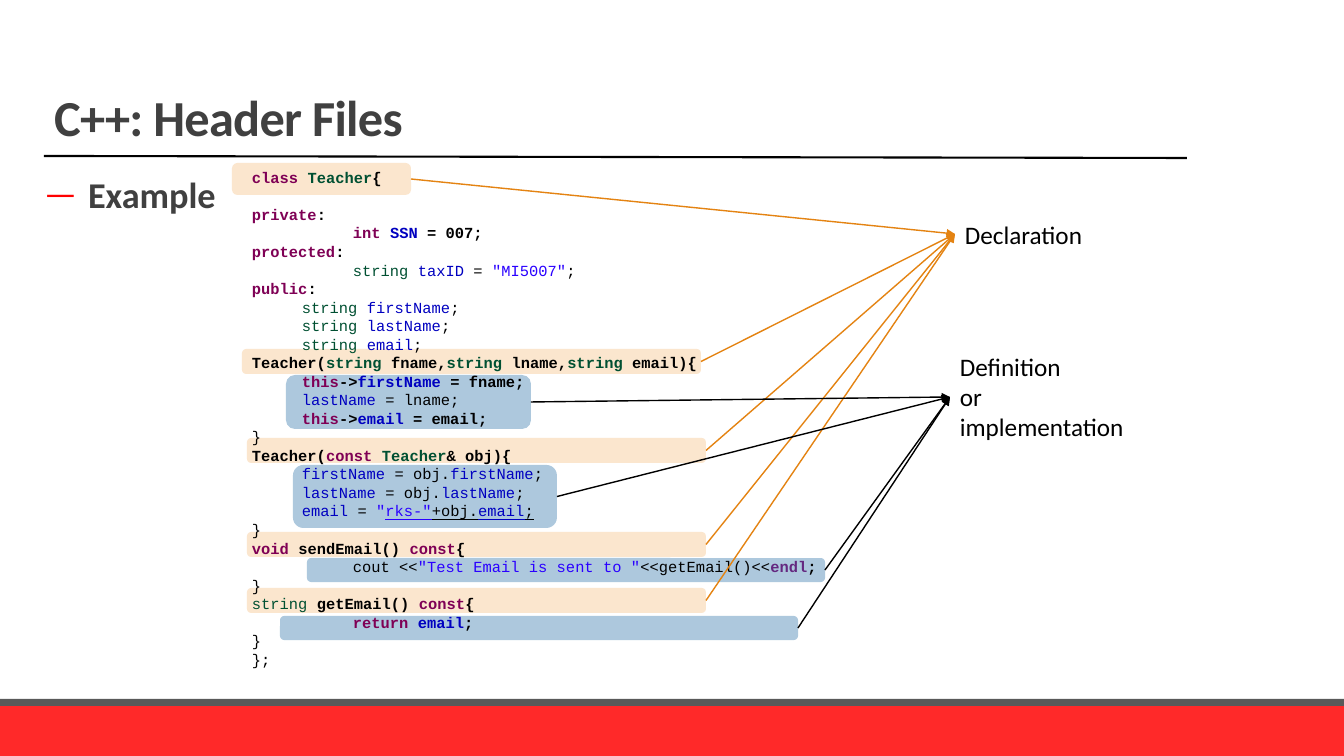
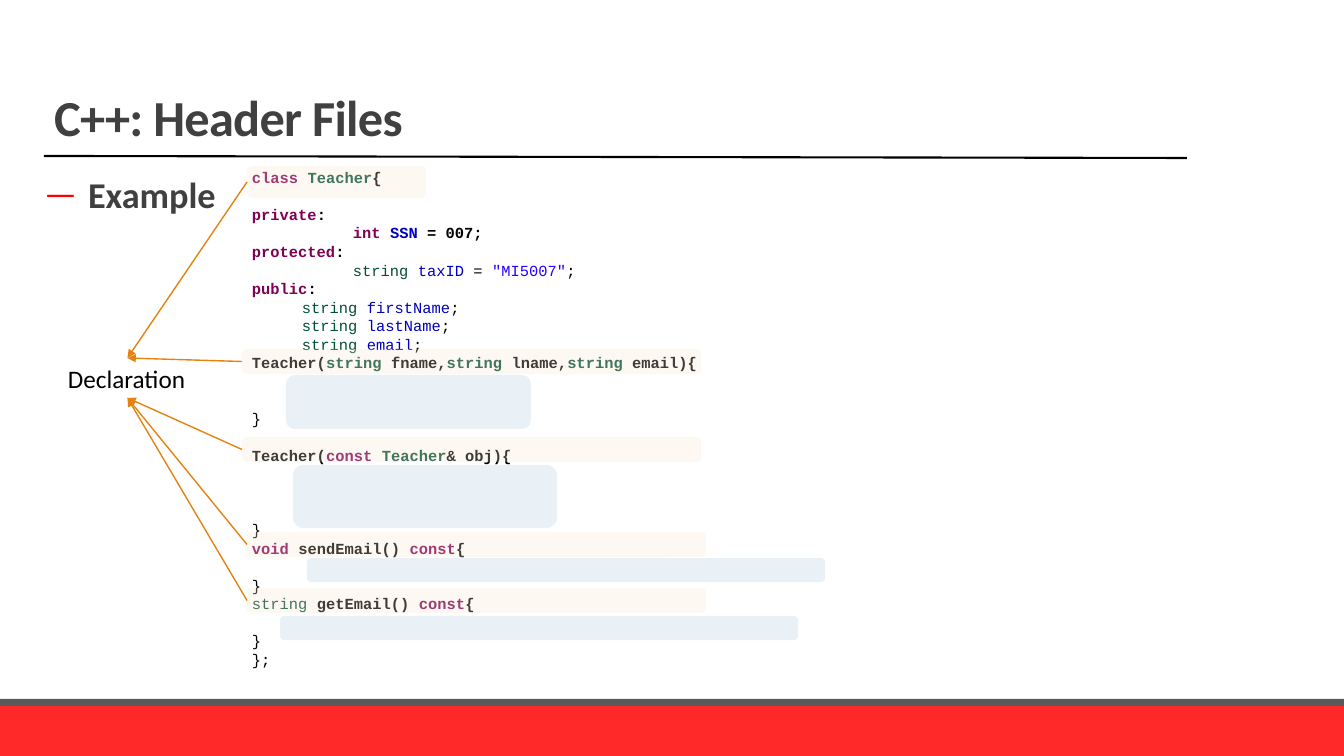
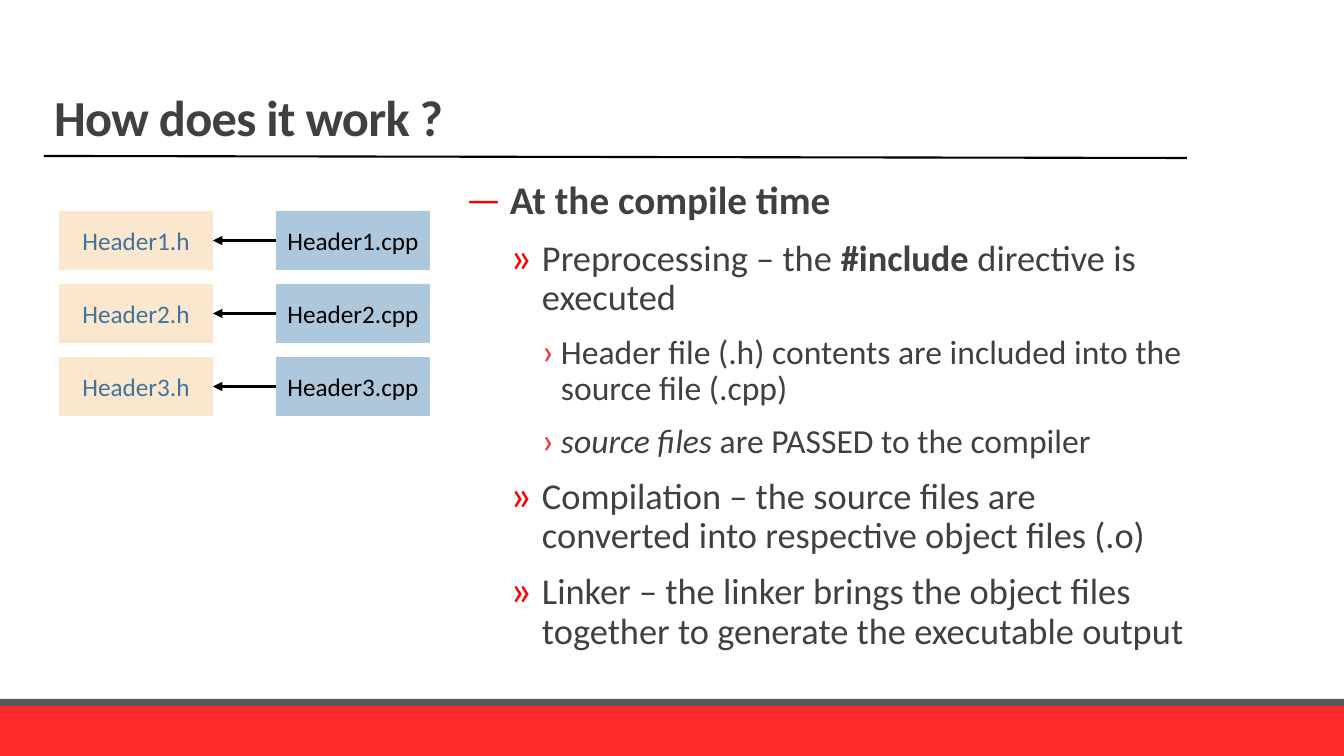
from lxml import etree
from pptx import Presentation
from pptx.dml.color import RGBColor
from pptx.enum.shapes import MSO_CONNECTOR, MSO_SHAPE
from pptx.enum.text import MSO_ANCHOR, MSO_AUTO_SIZE, PP_ALIGN
from pptx.oxml.ns import qn
from pptx.util import Emu, Pt

COLORS = {
    "red": "FF2929", "bullet": "FF0000", "grey": "595959", "ink": "404040",
    "black": "000000", "orange": "E48312", "peach": "FBE6CE", "blue": "ADC8DD",
    "steel": "40749B", "keyword": "7F0055", "type": "005032",
    "field": "0000C0", "string": "2A00FF", "macro": "642880",
}
SLIDE_W, SLIDE_H = 1344, 756
TOP, LEFT, BOTTOM, RIGHT = range(4)

# Code styles: the letter picks the colour, a capital is bold, "u" underlines
CODE_COLORS = {"k": "keyword", "t": "type", "f": "field",
               "s": "string", "m": "macro", "p": "black"}
CODE_SIZE, CODE_LEADING = 11, 13.25
CODE_INDENTS = [0, 50, 101]

# Code lines: blank lines above, indent depth, spans
FIELDS = [
    (0, 0, [("class ", "K"), ("Teacher", "T"), ("{", "P")]),
    (1, 0, [("private", "K"), (":", "P")]),
    (0, 2, [("int ", "K"), ("SSN", "F"), (" = 007;", "P")]),
    (0, 0, [("protected", "K"), (":", "P")]),
    (0, 2, [("string ", "t"), ("taxID", "f"), (" = ", "p"),
            ('"MI5007"', "s"), (";", "p")]),
    (0, 0, [("public", "K"), (":", "P")]),
] + [(0, 1, [("string ", "t"), (name, "f"), (";", "p")])
     for name in ("firstName", "lastName", "email")]

# Methods: signature, body lines (depth, spans), blank lines after the outline
METHODS = [
    ([("Teacher(", "P"), ("string ", "T"), ("fname,", "P"), ("string ", "T"),
      ("lname,", "P"), ("string", "T"), (" email){", "P")],
     [(1, [("this", "K"), ("->", "P"), ("firstName", "F"), (" = fname;", "P")]),
      (1, [("lastName", "f"), (" = lname;", "p")]),
      (1, [("this", "K"), ("->", "P"), ("email", "F"), (" = email;", "P")])], 1),
    ([("Teacher(", "P"), ("const ", "K"), ("Teacher", "T"), ("& obj){", "P")],
     [(1, [("firstName", "f"), (" = obj.", "p"), ("firstName", "f"), (";", "p")]),
      (1, [("lastName", "f"), (" = obj.", "p"), ("lastName", "f"), (";", "p")]),
      (1, [("email", "f"), (" = ", "p"), ('"', "s"), ('rks-"', "su"),
           ("+obj.", "pu"), ("email", "fu"), (";", "pu")])], 0),
    ([("void ", "K"), ("sendEmail() ", "P"), ("const", "K"), ("{", "P")],
     [(2, [("cout <<", "p"), ('"Test Email is sent to "', "s"),
           ("<<getEmail()<<", "p"), ("endl", "M"), (";", "P")])], 0),
    ([("string ", "t"), ("getEmail() ", "P"), ("const", "K"), ("{", "P")],
     [(2, [("return ", "K"), ("email", "F"), (";", "P")])], 0),
]

# Highlights behind or over the code: left, top, width, height
BODY_BANDS = [(286, 375, 245, 54), (293, 465, 264, 63),
              (307, 558, 518, 24), (280, 616, 518, 24)]
SHARED_BANDS = [(247, 532, 459, 25), (247, 588, 459, 25)]
FULL_BANDS = [(232, 163, 179, 32), (242, 349, 459, 25),
              (247, 438, 459, 25)] + SHARED_BANDS
OUTLINE_BANDS = [(247, 166, 179, 32), (242, 349, 459, 25),
                 (242, 437, 459, 25)] + SHARED_BANDS

# Bullet levels: margin px, hanging px, mark, mark colour, mark size %
LEVELS = [(44, 44, "—", "bullet", 100), (76, 32, "»", "bullet", 120),
          (95, 19, "›", "red", 110)]
COMPILE_STEPS = [
    (0, 28, [("At the compile time", {"bold": True})]),
    (1, 26, [("Preprocessing – the ", {}), ("#include", {"bold": True}),
             (" directive is executed", {})]),
    (2, 24, [("Header file (.h) contents are included into the source file (.cpp)", {})]),
    (2, 24, [("source files", {"italic": True}), (" are PASSED to the compiler", {})]),
    (1, 26, [("Compilation – the source files are converted into "
              "respective object files (.o)", {})]),
    (1, 26, [("Linker – the linker brings the object files together to "
              "generate the executable output", {})]),
]
FILE_COLUMNS = [(59, ".h", "peach", "steel"), (276, ".cpp", "blue", "black")]


def px(length):
    return Emu(round(length * 12192000 / SLIDE_W))


def color(name):
    return RGBColor.from_string(COLORS[name])


def add_span(para, text, size, tint="black", font="Calibri", **flags):
    span = para.add_run()
    span.text = text
    span.font.name, span.font.size = font, Pt(size)
    span.font.color.rgb = color(tint)
    span.font.bold = flags.get("bold", False)
    span.font.italic = flags.get("italic", False)
    span.font.underline = flags.get("underline", False)
    return span


def add_block(page, preset, place, fill, alpha=None):
    box = page.shapes.add_shape(preset, *map(px, place))
    box.shadow.inherit = False
    box.fill.solid()
    box.fill.fore_color.rgb = color(fill)
    box.line.fill.background()
    if alpha:
        tint = box.element.spPr.find(".//" + qn("a:srgbClr"))
        etree.SubElement(tint, qn("a:alpha")).set("val", str(alpha * 1000))
    return box


def add_line(page, tint, width, start=(0, 0), end=(0, 0)):
    line = page.shapes.add_connector(MSO_CONNECTOR.STRAIGHT, *map(px, start + end))
    line.line.color.rgb = color(tint)
    line.line.width = Pt(width)
    etree.SubElement(line.element.spPr, qn("a:effectLst"))
    return line


def add_arrow(page, source, source_side, target, target_side, tint, width=1):
    arrow = add_line(page, tint, width)
    arrow.begin_connect(source, source_side)
    arrow.end_connect(target, target_side)
    outline = arrow.element.spPr.find(qn("a:ln"))
    etree.SubElement(outline, qn("a:tailEnd")).set("type", "triangle")


def add_text_box(page, place, wrap=True):
    box = page.shapes.add_textbox(*map(px, place))
    box.text_frame.word_wrap = wrap
    return box


def paragraphs(frame):
    yield frame.paragraphs[0]
    while True:
        yield frame.add_paragraph()


def add_label(page, place, lines):
    box = add_text_box(page, place, wrap=False)
    box.text_frame.auto_size = MSO_AUTO_SIZE.SHAPE_TO_FIT_TEXT
    for text, para in zip(lines, paragraphs(box.text_frame)):
        add_span(para, text, 18)
    return box


def add_bullets(page, place, items, leading):
    frame = add_text_box(page, place).text_frame
    frame.margin_left = frame.margin_right = 0
    for (level, size, spans), para in zip(items, paragraphs(frame)):
        margin, hanging, mark, tint, percent = LEVELS[level]
        para.level = level
        para.line_spacing = leading
        para.space_before = para.space_after = Pt(6)
        props = para._p.get_or_add_pPr()
        props.set("marL", str(px(margin)))
        props.set("indent", str(-px(hanging)))
        mark_color = etree.SubElement(props, qn("a:buClr"))
        etree.SubElement(mark_color, qn("a:srgbClr")).set("val", COLORS[tint])
        etree.SubElement(props, qn("a:buSzPct")).set("val", str(percent * 1000))
        etree.SubElement(props, qn("a:buFont")).set("typeface", "Calibri")
        etree.SubElement(props, qn("a:buChar")).set("char", mark)
        for text, flags in spans:
            add_span(para, text, size, "ink", **flags)


def code_lines(with_bodies):
    lines = list(FIELDS)
    gap = 0
    for signature, body, gap_after in METHODS:
        lines.append((gap, 0, signature))
        if with_bodies:
            lines += [(0, depth, spans) for depth, spans in body]
            lines.append((0, 0, [("}", "p")]))
        else:
            lines.append((len(body) - gap_after, 0, [("}", "p")]))
            gap = gap_after
    return lines + [(0, 0, [("};", "p")])]


def add_code(page, with_bodies):
    frame = add_text_box(page, (242, 163, 592, 514)).text_frame
    for (gap, depth, spans), para in zip(code_lines(with_bodies), paragraphs(frame)):
        para.line_spacing = Pt(CODE_LEADING)
        para.space_before = Pt(gap * CODE_LEADING)
        para._p.get_or_add_pPr().set("marL", str(px(CODE_INDENTS[depth])))
        for text, style in spans:
            add_span(para, text, CODE_SIZE, CODE_COLORS[style[0].lower()],
                     "Courier New", bold=style[0].isupper(),
                     underline=style.endswith("u"))


def add_bands(page, places, fill, alpha=None):
    return [add_block(page, MSO_SHAPE.DOUBLE_BRACKET, place, fill, alpha)
            for place in places]


def style_layout(layout, page):
    """Place the title and move the bands and rule to the layout."""
    title = layout.placeholders[0]
    title.left, title.top, title.width, title.height = map(px, (44, 0, 1142, 152))
    title.text_frame.vertical_anchor = MSO_ANCHOR.BOTTOM
    title.text_frame.auto_size = MSO_AUTO_SIZE.NONE
    parts = [
        add_block(page, MSO_SHAPE.RECTANGLE, (0, 706, SLIDE_W, 50), "red"),
        add_block(page, MSO_SHAPE.RECTANGLE, (0, 699, SLIDE_W, 7), "grey"),
        add_line(page, "black", 1.5, (44, 156), (1187, 158)),
    ]
    for number, part in enumerate(parts, 100):
        part.element.xpath(".//p:cNvPr")[0].set("id", str(number))
        layout.shapes.element.append(part.element)


def add_title(page, text):
    para = page.shapes.title.text_frame.paragraphs[0]
    para.alignment = PP_ALIGN.LEFT
    para.line_spacing = 0.85
    span = add_span(para, text, 36, "ink", bold=True)
    span.font._element.set("spc", "-50")


def add_example_heading(page):
    add_title(page, "C++: Header Files")
    add_bullets(page, (44, 176, 186, 48),
                [(0, 25.9, [("Example", {"bold": True})])], 0.8)


def build_full_class(page):
    bodies = add_bands(page, BODY_BANDS, "blue")
    signatures = add_bands(page, FULL_BANDS, "peach")
    add_example_heading(page)
    add_code(page, with_bodies=True)
    declaration = add_label(page, (955, 214, 139, 40), ["Declaration"])
    definition = add_label(page, (950, 346, 186, 102),
                           ["Definition", "or", "implementation"])
    for bands, label, tint in ((signatures, declaration, "orange"),
                               (bodies, definition, "black")):
        for band in bands:
            add_arrow(page, band, RIGHT, label, LEFT, tint)


def build_outline(page):
    add_code(page, with_bodies=False)
    add_bands(page, BODY_BANDS, "blue", alpha=26)
    signatures = add_bands(page, OUTLINE_BANDS, "peach", alpha=26)
    add_example_heading(page)
    label = add_label(page, (58, 358, 139, 40), ["Declaration"])
    for band, side in zip(signatures, (TOP, TOP, BOTTOM, BOTTOM, BOTTOM)):
        add_arrow(page, band, LEFT, label, side, "orange")


def build_compile_steps(page):
    add_title(page, "How does it work ?")
    add_bullets(page, (466, 176, 722, 504), COMPILE_STEPS, 0.9)
    for row in range(3):
        pair = []
        for left, suffix, fill, tint in FILE_COLUMNS:
            box = add_block(page, MSO_SHAPE.RECTANGLE,
                            (left, 211 + 73 * row, 154, 59), fill)
            box.text_frame.word_wrap = False
            box.text_frame.vertical_anchor = MSO_ANCHOR.MIDDLE
            para = box.text_frame.paragraphs[0]
            para.alignment = PP_ALIGN.CENTER
            add_span(para, f"Header{row + 1}{suffix}", 18, tint)
            pair.append(box)
        header, source = pair
        add_arrow(page, source, LEFT, header, RIGHT, "black", 2.25)


def main():
    deck = Presentation()
    deck.slide_width, deck.slide_height = px(SLIDE_W), px(SLIDE_H)
    layout = deck.slide_layouts[5]
    builders = [build_full_class, build_outline, build_compile_steps]
    pages = [deck.slides.add_slide(layout) for _ in builders]
    style_layout(layout, pages[0])
    for build, page in zip(builders, pages):
        build(page)
    deck.save("out.pptx")


if __name__ == "__main__":
    main()
